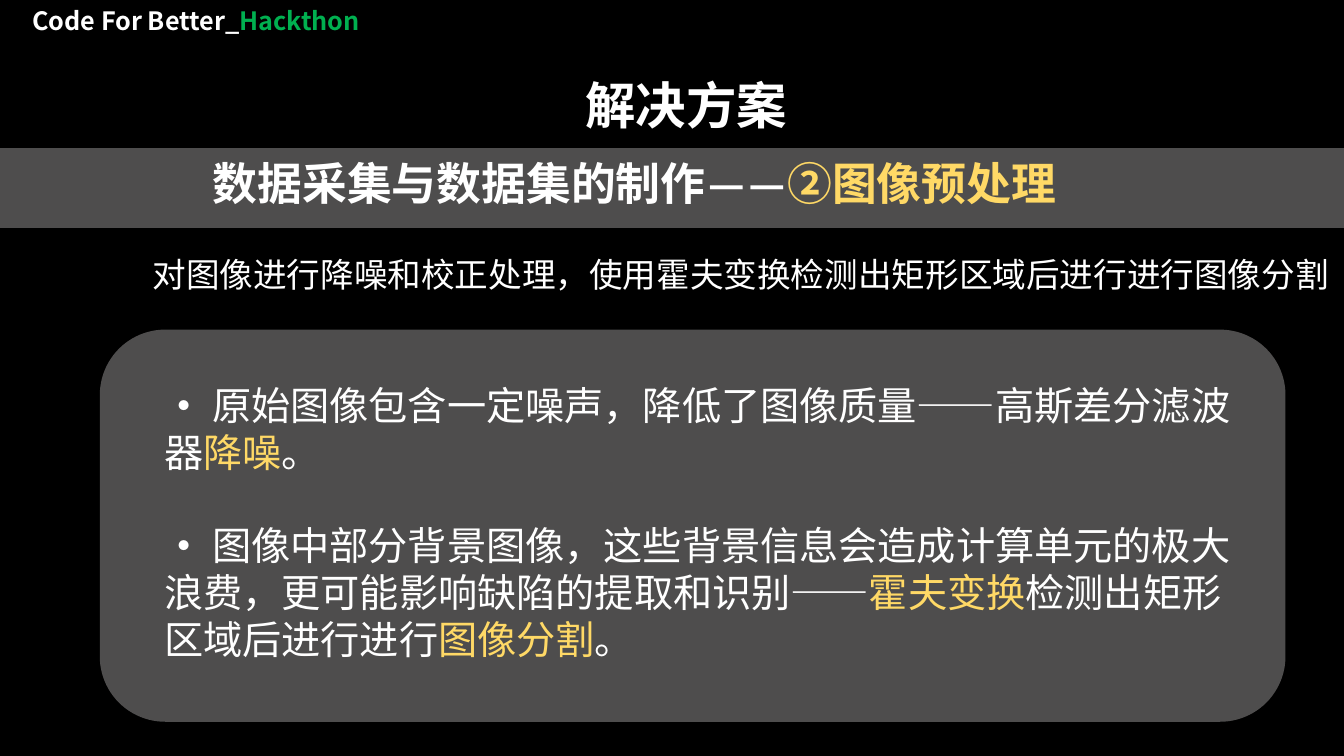
from lxml.etree import SubElement
from pptx import Presentation
from pptx.dml.color import RGBColor
from pptx.enum.shapes import MSO_SHAPE
from pptx.enum.text import MSO_AUTO_SIZE, PP_ALIGN
from pptx.oxml.ns import qn
from pptx.util import Inches, Pt

COLORS = {
    "background": "000000",
    "panel": "AFABAB",
    "text": "FFFFFF",
    "green": "00B050",
    "yellow": "FFD966",
}


def rgb(name):
    return RGBColor.from_string(COLORS[name])


class SlideBuilder:
    font = "Noto Sans CJK SC"
    dash_font = "Calibri"
    panel_alpha = 45

    def __init__(self, s):
        self.s = s
        self.shapes = s.shapes
        s.background.fill.solid()
        s.background.fill.fore_color.rgb = rgb("background")

    def start_group(self):
        """Send the elements that follow into a new group."""
        self.shapes = self.s.shapes.add_group_shape().shapes

    def set_font(self, font, name):
        """Use one typeface for both Latin and East Asian characters."""
        font.name = name
        latin = font._element.find(qn("a:latin"))
        ea = latin.makeelement(qn("a:ea"), {"typeface": name})
        latin.addnext(ea)

    def panel(self, kind, *box):
        sp = self.shapes.add_shape(kind, *map(Inches, box))
        sp.shadow.inherit = False
        sp.line.fill.background()
        sp.fill.solid()
        sp.fill.fore_color.rgb = rgb("panel")
        color = sp._element.spPr.find(qn("a:solidFill"))[0]
        SubElement(color, qn("a:alpha"), val=str(self.panel_alpha * 1000))

    def text(self, box, size, runs, bold=False, align=PP_ALIGN.CENTER):
        """Add one paragraph; each run is (text, colour) plus an optional dict."""
        tf = self.shapes.add_textbox(*map(Inches, box)).text_frame
        tf.word_wrap = True
        tf.auto_size = MSO_AUTO_SIZE.SHAPE_TO_FIT_TEXT
        p = tf.paragraphs[0]
        p.alignment = align
        p.font.size = Pt(size)
        for words, color, *options in runs:
            style = {"bold": bold, "font": self.font, **(options[0] if options else {})}
            r = p.add_run()
            r.text = words
            r.font.size = Pt(size)
            r.font.bold = style["bold"]
            r.font.color.rgb = rgb(color)
            self.set_font(r.font, style["font"])

    def bullet(self, top, height, runs):
        dot = ("· ", "text", {"bold": True})
        self.text((1.53, top, 10.95, height), 28, [dot, *runs], align=PP_ALIGN.LEFT)


def main():
    prs = Presentation()
    prs.slide_width, prs.slide_height = Inches(13.33), Inches(7.5)
    b = SlideBuilder(prs.slides.add_slide(prs.slide_layouts[6]))

    b.text((0, 0, 3.89, 0.4), 18,
           [("Code For Better_", "text"), ("Hackthon", "green")], bold=True)
    b.text((1.17, 2.47, 12.35, 0.5), 24,
           [("对图像进行降噪和校正处理，使用霍夫变换检测出矩形区域后进行进行图像分割", "text")])
    b.panel(MSO_SHAPE.RECTANGLE, -0.08, 1.47, 13.57, 0.79)
    b.text((2.01, 1.5, 9.32, 0.64), 32,
           [("数据采集与数据集的制作", "text"),
            ("——", "text", {"font": b.dash_font}),
            ("②图像预处理", "yellow")], bold=True, align=PP_ALIGN.LEFT)
    b.text((5.19, 0.69, 3.23, 0.71), 36, [("解决方案", "text")], bold=True)

    b.start_group()
    b.panel(MSO_SHAPE.ROUNDED_RECTANGLE, 0.99, 3.27, 11.76, 3.89)
    b.bullet(3.73, 1.04, [
        ("原始图像包含一定噪声，降低了图像质量——高斯差分滤波器", "text"),
        ("降噪", "yellow"),
        ("。", "text"),
    ])
    b.bullet(5.12, 1.51, [
        ("图像中部分背景图像，这些背景信息会造成计算单元的极大浪费，"
         "更可能影响缺陷的提取和识别——", "text"),
        ("霍夫变换", "yellow"),
        ("检测出矩形区域后进行进行", "text"),
        ("图像分割", "yellow"),
        ("。", "text"),
    ])

    prs.save("out.pptx")


if __name__ == "__main__":
    main()
